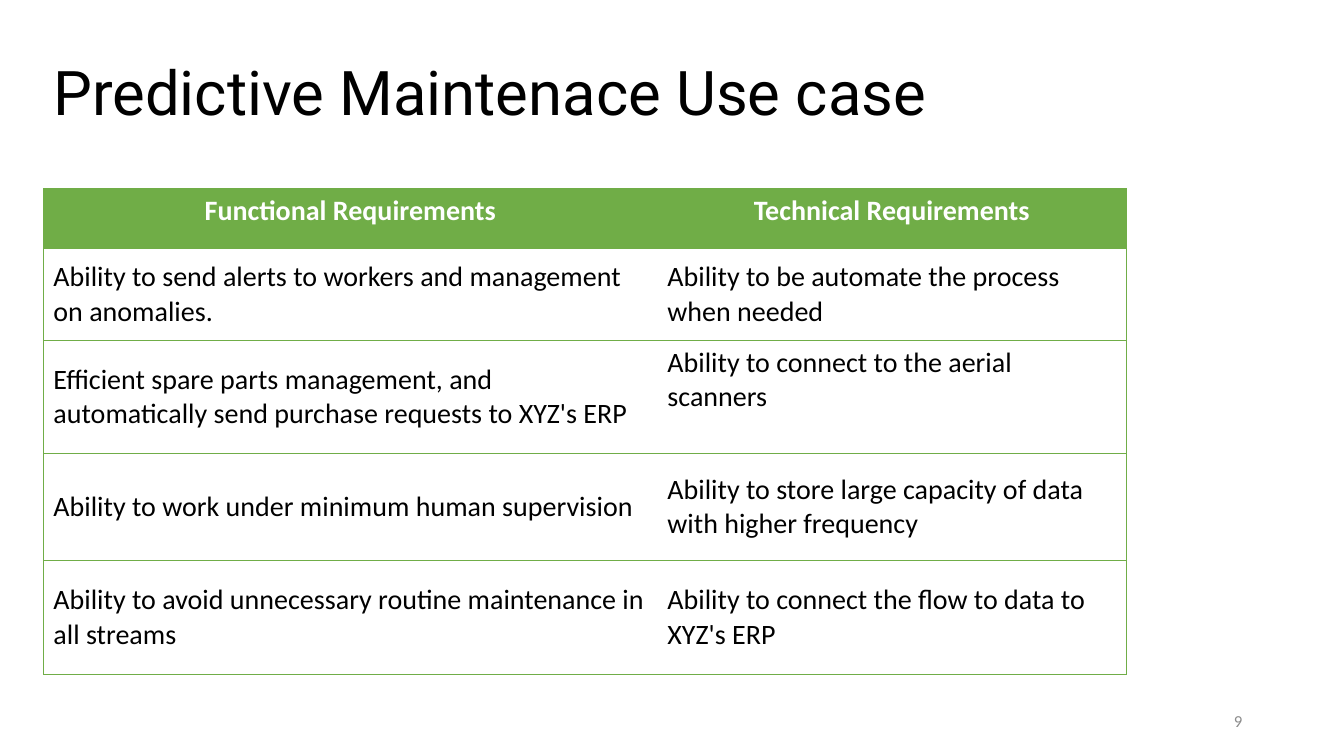
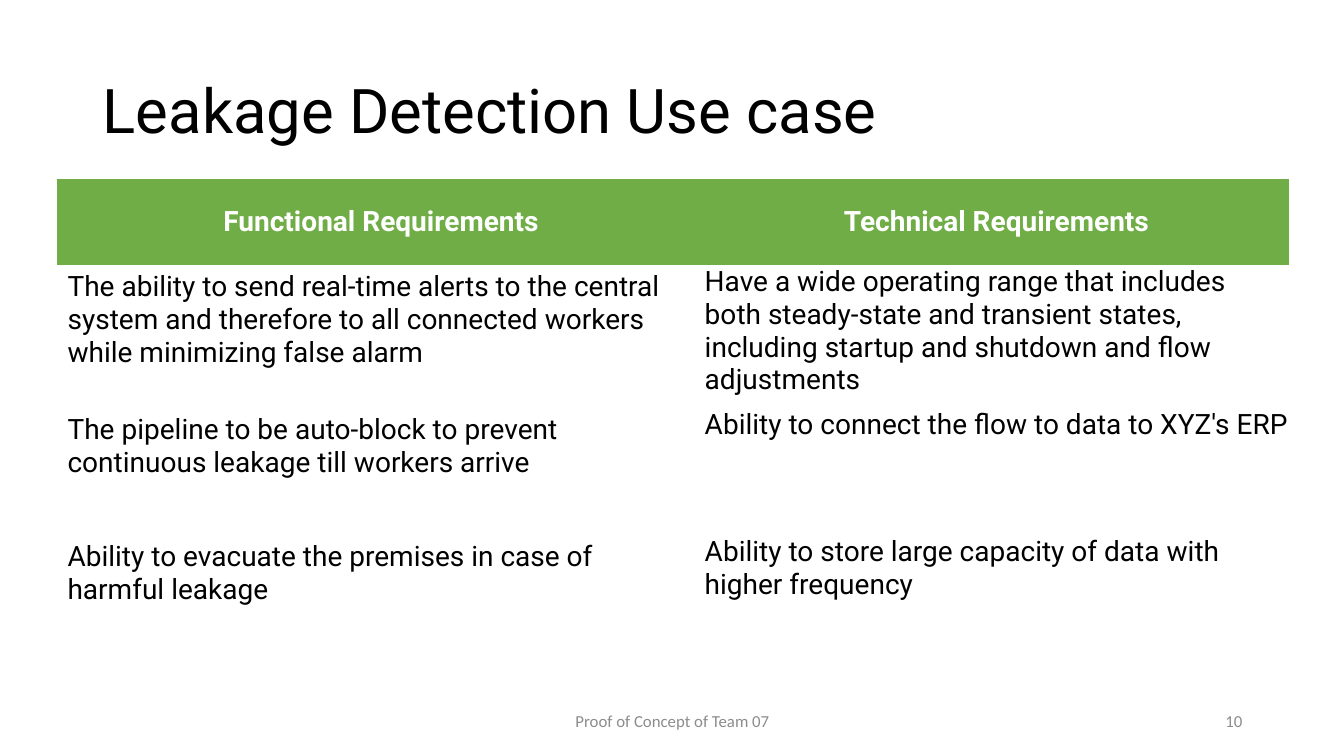
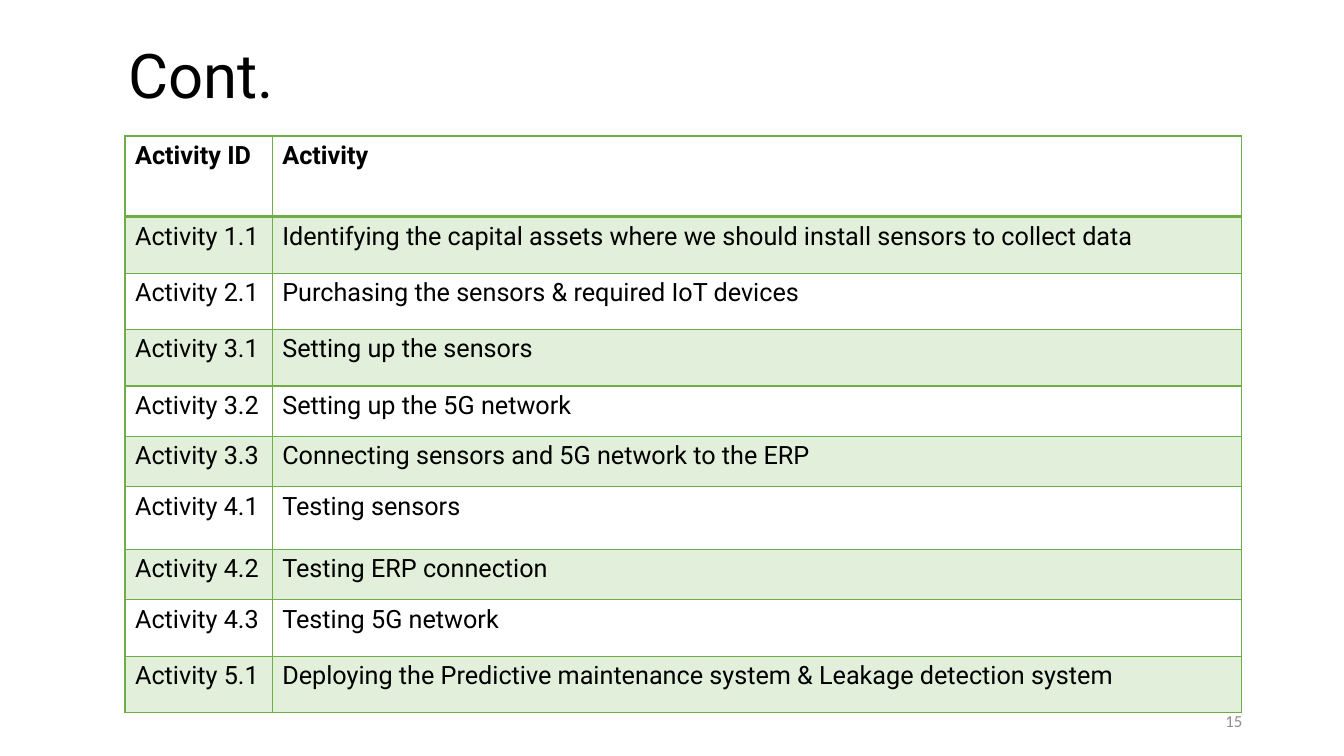
from lxml import etree
from pptx import Presentation
from pptx.dml.color import RGBColor
from pptx.enum import text
from pptx.oxml import ns
from pptx.util import Inches, Pt

COLORS = {"green": "70AD47", "tint": "E2EFDA", "white": "FFFFFF", "black": "000000", "grey": "8C8C8C"}
PLAIN_TABLE_STYLE = "{2D5ABB26-0587-4C30-8999-92F81FD0307C}"
LEFT, CENTER, RIGHT = text.PP_ALIGN.LEFT, text.PP_ALIGN.CENTER, text.PP_ALIGN.RIGHT
TOP, MIDDLE = text.MSO_ANCHOR.TOP, text.MSO_ANCHOR.MIDDLE

REQUIREMENTS_HEADER = ("Functional Requirements", "Technical Requirements")
SLIDES = [
    {
        "title": "Predictive Maintenace Use case", "title_box": (0.43, 0.62, 11.5, 0.66),
        "number": "9", "footer": None,
        "table": {
            "at": (0.43, 1.87), "columns": (6.09, 4.65), "heights": (0.59, 0.92, 1.12, 1.06, 1.13),
            "font": "Calibri", "size": 20, "header_fill": "green", "header_color": "white",
            "header_align": CENTER, "header_anchor": TOP, "anchor": MIDDLE, "top_cells": [(2, 1)],
            "band": None, "flush_column": None, "line": 0.5, "header_line": 0.5, "inner_columns": False,
            "rows": [
                REQUIREMENTS_HEADER,
                ("Ability to send alerts to workers and management on anomalies.",
                 "Ability to be automate the process when needed"),
                ("Efficient spare parts management, and automatically send purchase requests to XYZ's ERP",
                 "Ability to connect to the aerial scanners"),
                ("Ability to work under minimum human supervision",
                 "Ability to store large capacity of data with higher frequency"),
                ("Ability to avoid unnecessary routine maintenance in all streams",
                 "Ability to connect the flow to data to XYZ's ERP"),
            ],
        },
    },
    {
        "title": "Leakage Detection Use case", "title_box": (0.92, 0.4, 11.5, 1.45),
        "number": "10", "footer": "Proof of Concept of Team 07",
        "table": {
            "at": (0.57, 1.78), "columns": (6.42, 5.79), "heights": (0.85, 1.42, 1.26, 1.26),
            "font": "Roboto", "size": 20, "header_fill": "green", "header_color": "white",
            "header_align": CENTER, "header_anchor": MIDDLE, "anchor": TOP, "top_cells": [],
            "band": None, "flush_column": 1, "line": None, "header_line": None, "inner_columns": False,
            "rows": [
                REQUIREMENTS_HEADER,
                ("The ability to send real-time alerts to the central system and therefore to all "
                 "connected workers while minimizing false alarm",
                 "Have a wide operating range that includes both steady-state and transient states, "
                 "including startup and shutdown and flow adjustments"),
                ("The pipeline to be auto-block to prevent continuous leakage till workers arrive",
                 "Ability to connect the flow to data to XYZ's ERP"),
                ("Ability to evacuate the premises in case of harmful leakage",
                 "Ability to store large capacity of data with higher frequency"),
            ],
        },
    },
    {
        "title": "Cont.", "title_box": (1.17, 0.14, 11.5, 1.28),
        "number": "15", "footer": None,
        "table": {
            "at": (1.24, 1.35), "columns": (1.46, 9.61),
            "heights": (0.8, 0.56, 0.56, 0.56, 0.5, 0.5, 0.62, 0.5, 0.56, 0.56),
            "font": "Roboto", "size": 18, "header_fill": None, "header_color": "black",
            "header_align": LEFT, "header_anchor": TOP, "anchor": TOP, "top_cells": [],
            "band": "tint", "flush_column": None, "line": 1, "header_line": 2, "inner_columns": True,
            "rows": [
                ("Activity ID", "Activity"),
                ("Activity 1.1", "Identifying the capital assets where we should install sensors to collect data"),
                ("Activity 2.1", "Purchasing the sensors & required IoT devices"),
                ("Activity 3.1", "Setting up the sensors"),
                ("Activity 3.2", "Setting up the 5G network"),
                ("Activity 3.3", "Connecting sensors and 5G network to the ERP"),
                ("Activity 4.1", "Testing sensors"),
                ("Activity 4.2", "Testing ERP connection"),
                ("Activity 4.3", "Testing 5G network"),
                ("Activity 5.1", "Deploying the Predictive maintenance system & Leakage detection system"),
            ],
        },
    },
]


def write(frame, words, font, size, color, align=LEFT, anchor=MIDDLE, bold=False):
    frame.word_wrap = True
    frame.vertical_anchor = anchor
    paragraph = frame.paragraphs[0]
    paragraph.alignment = align
    run = paragraph.add_run()
    run.text = words
    run.font.name = font
    run.font.size = Pt(size)
    run.font.bold = bold
    run.font.color.rgb = RGBColor.from_string(COLORS[color])
    return paragraph


def add_title(slide, words, box):
    title = slide.shapes.title
    title.left, title.top, title.width, title.height = map(Inches, box)
    title.text_frame.auto_size = text.MSO_AUTO_SIZE.NONE
    write(title.text_frame, words, "Roboto", 44, "black").line_spacing = 0.9


def add_footer(slide, words, left, width, align):
    box = slide.shapes.add_textbox(Inches(left), Inches(6.95), Inches(width), Inches(0.4))
    write(box.text_frame, words, "Calibri", 12, "grey", align)


def add_border(cell, side, width):
    properties = cell._tc.get_or_add_tcPr()
    line = etree.SubElement(properties, ns.qn(f"a:ln{side}"), w=str(Pt(width)))
    fill = etree.SubElement(line, ns.qn("a:solidFill"))
    etree.SubElement(fill, ns.qn("a:srgbClr"), val=COLORS["green"])


def border_cell(cell, row, column, design):
    last_column = len(design["columns"]) - 1
    if design["inner_columns"] or column == 0:
        add_border(cell, "L", design["line"])
    if design["inner_columns"] or column == last_column:
        add_border(cell, "R", design["line"])
    add_border(cell, "T", design["header_line"] if row == 1 else design["line"])
    add_border(cell, "B", design["header_line"] if row == 0 else design["line"])


def fill_cell(cell, color):
    if color:
        cell.fill.solid()
        cell.fill.fore_color.rgb = RGBColor.from_string(COLORS[color])
    else:
        cell.fill.background()


def add_table(slide, design):
    rows, columns, heights = design["rows"], design["columns"], design["heights"]
    left, top = design["at"]
    table = slide.shapes.add_table(len(rows), len(columns), Inches(left), Inches(top),
                                   Inches(sum(columns)), Inches(sum(heights))).table
    table.horz_banding = False
    table._tbl.tblPr[0].text = PLAIN_TABLE_STYLE
    for column, width in zip(table.columns, columns):
        column.width = Inches(width)
    for row, height in zip(table.rows, heights):
        row.height = Inches(height)
    for row, words_in_row in enumerate(rows):
        header = row == 0
        for column, words in enumerate(words_in_row):
            cell = table.cell(row, column)
            if design["line"]:
                border_cell(cell, row, column, design)
            fill_cell(cell, design["header_fill"] if header else design["band"] if row % 2 else None)
            if column == design["flush_column"] and not header:
                cell.margin_left = cell.margin_right = cell.margin_top = cell.margin_bottom = 0
            anchor = design["header_anchor"] if header else design["anchor"]
            cell.vertical_anchor = TOP if (row, column) in design["top_cells"] else anchor
            paragraph = cell.text_frame.paragraphs[0]
            paragraph.alignment = design["header_align"] if header else LEFT
            run = paragraph.add_run()
            run.text = words
            run.font.name = design["font"]
            run.font.size = Pt(design["size"])
            run.font.bold = header
            run.font.color.rgb = RGBColor.from_string(COLORS[design["header_color"] if header else "black"])


def main():
    presentation = Presentation()
    presentation.slide_width, presentation.slide_height = Inches(13.33), Inches(7.5)
    for content in SLIDES:
        slide = presentation.slides.add_slide(presentation.slide_layouts[5])
        add_title(slide, content["title"], content["title_box"])
        add_table(slide, content["table"])
        if content["footer"]:
            add_footer(slide, content["footer"], 4.42, 4.5, CENTER)
        add_footer(slide, content["number"], 9.42, 3, RIGHT)
    presentation.save("out.pptx")


if __name__ == "__main__":
    main()
